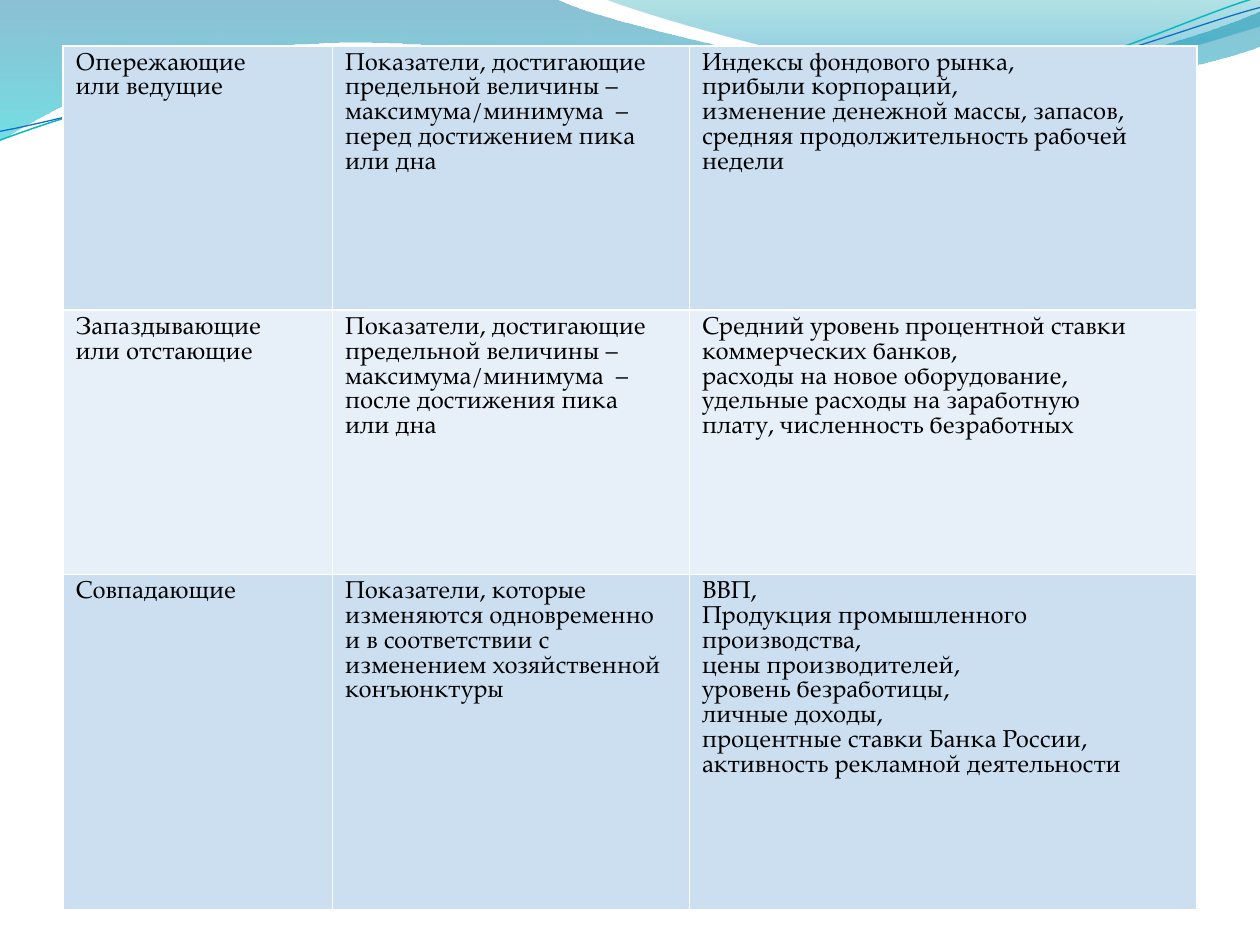
"""Build a slide with a table of leading, lagging and coincident economic indicators."""
from dataclasses import dataclass

from lxml.etree import SubElement
from pptx import Presentation
from pptx.dml.color import RGBColor
from pptx.oxml import parse_xml
from pptx.oxml.ns import nsdecls, qn
from pptx.shapes.autoshape import Shape
from pptx.slide import Slide
from pptx.table import _Cell
from pptx.util import Pt

FONT = "TeX Gyre Pagella"
COLUMN_WIDTHS = (154, 204, 290)
WAVE_ROTATION = 357.3

Segment = tuple[float, ...]


@dataclass(frozen=True)
class GradientStop:
    position: float
    color: str
    opacity: int


@dataclass(frozen=True)
class Band:
    segments: list[Segment]
    stops: tuple[GradientStop, GradientStop]


@dataclass(frozen=True)
class Wave:
    segments: list[Segment]
    color: str
    width: float


@dataclass(frozen=True)
class IndicatorRow:
    height: float
    fill: str
    texts: tuple[str, str, str]


BANDS = [
    Band(
        [(0, 0), (317, -1), (343, 12, 478, 45, 546, 45), (614, 45, 690, 19, 720, 6.5),
         (721, 26), (708, 32, 626, 55, 537, 54), (447, 54, 275, 20, 185, 24.5),
         (93, 26, 33, 60, -1, 81)],
        (GradientStop(0, "0074A1", 45), GradientStop(1, "00C6CF", 55)),
    ),
    Band(
        [(345, -1), (366, 8, 491, 45, 554, 47), (616, 50, 692, 23, 720, 15), (720, 0)],
        (GradientStop(0, "00A1A9", 30), GradientStop(0.8, "008BBF", 45)),
    ),
]

WAVES = [
    Wave([(-1.4, 63.1), (34.2, 51.7, 114.3, 29.4, 199.8, 29.9),
          (284.8, 30.3, 425.8, 67.3, 512.4, 64.9),
          (599, 62.4, 676.5, 25.7, 720.2, 15.5)], "0AB8BF", 0.85),
    Wave([(-1.1, 58), (32.9, 53.8, 118.3, 32.5, 204.1, 33),
          (290.6, 33.4, 428.9, 63.8, 515.5, 61.4),
          (601.3, 59.6, 678.5, 30.1, 721.4, 21.3)], "0F6FC6", 0.75),
]

ROWS = [
    IndicatorRow(151, "CCDFF1", (
        "Опережающие\nили ведущие",
        "Показатели, достигающие\nпредельной величины –\nмаксимума/минимума  –\n"
        "перед достижением пика\nили дна",
        "Индексы фондового рынка,\nприбыли корпораций,\n"
        "изменение денежной массы, запасов,\n"
        "средняя продолжительность рабочей\nнедели",
    )),
    IndicatorRow(151, "E7EFF8", (
        "Запаздывающие\nили отстающие",
        "Показатели, достигающие\nпредельной величины –\nмаксимума/минимума  –\n"
        "после достижения пика\nили дна",
        "Средний уровень процентной ставки\nкоммерческих банков,\n"
        "расходы на новое оборудование,\nудельные расходы на заработную\n"
        "плату, численность безработных",
    )),
    IndicatorRow(191.5, "CCDFF1", (
        "Совпадающие",
        "Показатели, которые\nизменяются одновременно\nи в соответствии с\n"
        "изменением хозяйственной\nконъюнктуры",
        "ВВП,\nПродукция промышленного\nпроизводства,\nцены производителей,\n"
        "уровень безработицы,\nличные доходы,\nпроцентные ставки Банка России,\n"
        "активность рекламной деятельности",
    )),
]


def rgb(color: str) -> RGBColor:
    return RGBColor.from_string(color)


def draw_outline(slide: Slide, segments: list[Segment], close: bool) -> Shape:
    ends = [(Pt(segment[-2]), Pt(segment[-1])) for segment in segments]
    builder = slide.shapes.build_freeform(*ends[0])
    builder.add_line_segments(ends[1:], close=close)
    shape = builder.convert_to_shape()
    shape.shadow.inherit = False
    lines = list(shape._element.spPr.iter(qn("a:lnTo")))
    for line, segment in zip(lines, segments[1:]):
        if len(segment) == 6:
            bend(shape, line, segment)
    return shape


def bend(shape: Shape, line, curve: Segment) -> None:
    line.tag = qn("a:cubicBezTo")
    line.clear()
    for x, y in zip(curve[::2], curve[1::2]):
        SubElement(line, qn("a:pt"), x=str(Pt(x) - shape.left), y=str(Pt(y) - shape.top))


def draw_band(slide: Slide, band: Band) -> None:
    shape = draw_outline(slide, band.segments, close=True)
    shape.line.fill.background()
    shape.fill.gradient()
    shape.fill.gradient_angle = 270
    for gradient_stop, stop in zip(shape.fill.gradient_stops, band.stops):
        gradient_stop.position = stop.position
        gradient_stop.color.rgb = rgb(stop.color)
    colors = shape._element.spPr.iter(qn("a:srgbClr"))
    for color, stop in zip(colors, band.stops):
        SubElement(color, qn("a:alpha"), val=str(stop.opacity * 1000))


def draw_wave(slide: Slide, wave: Wave) -> None:
    shape = draw_outline(slide, wave.segments, close=False)
    shape.rotation = WAVE_ROTATION
    shape.fill.background()
    shape.line.color.rgb = rgb(wave.color)
    shape.line.width = Pt(wave.width)


def set_borders(cell: _Cell, color: str, width: float) -> None:
    properties = cell._tc.get_or_add_tcPr()
    for index, side in enumerate(("lnL", "lnR", "lnT", "lnB")):
        properties.insert(index, parse_xml(
            f'<a:{side} {nsdecls("a")} w="{Pt(width)}"><a:solidFill>'
            f'<a:srgbClr val="{color}"/></a:solidFill></a:{side}>'
        ))


def fill_cell(cell: _Cell, text: str, color: str) -> None:
    cell.fill.solid()
    cell.fill.fore_color.rgb = rgb(color)
    set_borders(cell, "FFFFFF", 1)
    cell.text_frame.text = text
    for paragraph in cell.text_frame.paragraphs:
        paragraph.line_spacing = Pt(14.2)
        for run in paragraph.runs:
            run.font.name = FONT
            run.font.size = Pt(14)
            run.font.color.rgb = rgb("000000")


def draw_table(slide: Slide, rows: list[IndicatorRow]) -> None:
    frame = slide.shapes.add_table(
        len(rows), len(COLUMN_WIDTHS), Pt(36), Pt(26.25),
        Pt(sum(COLUMN_WIDTHS)), Pt(sum(row.height for row in rows)),
    )
    table = frame.table
    table.first_row = False
    table.horz_banding = False
    for column, width in zip(table.columns, COLUMN_WIDTHS):
        column.width = Pt(width)
    for table_row, row in zip(table.rows, rows):
        table_row.height = Pt(row.height)
        for cell, text in zip(table_row.cells, row.texts):
            fill_cell(cell, text, row.fill)


def main() -> None:
    presentation = Presentation()
    presentation.slide_width, presentation.slide_height = Pt(720), Pt(540)
    slide = presentation.slides.add_slide(presentation.slide_layouts[6])
    for band in BANDS:
        draw_band(slide, band)
    for wave in WAVES:
        draw_wave(slide, wave)
    draw_table(slide, ROWS)
    presentation.save("out.pptx")


if __name__ == "__main__":
    main()
